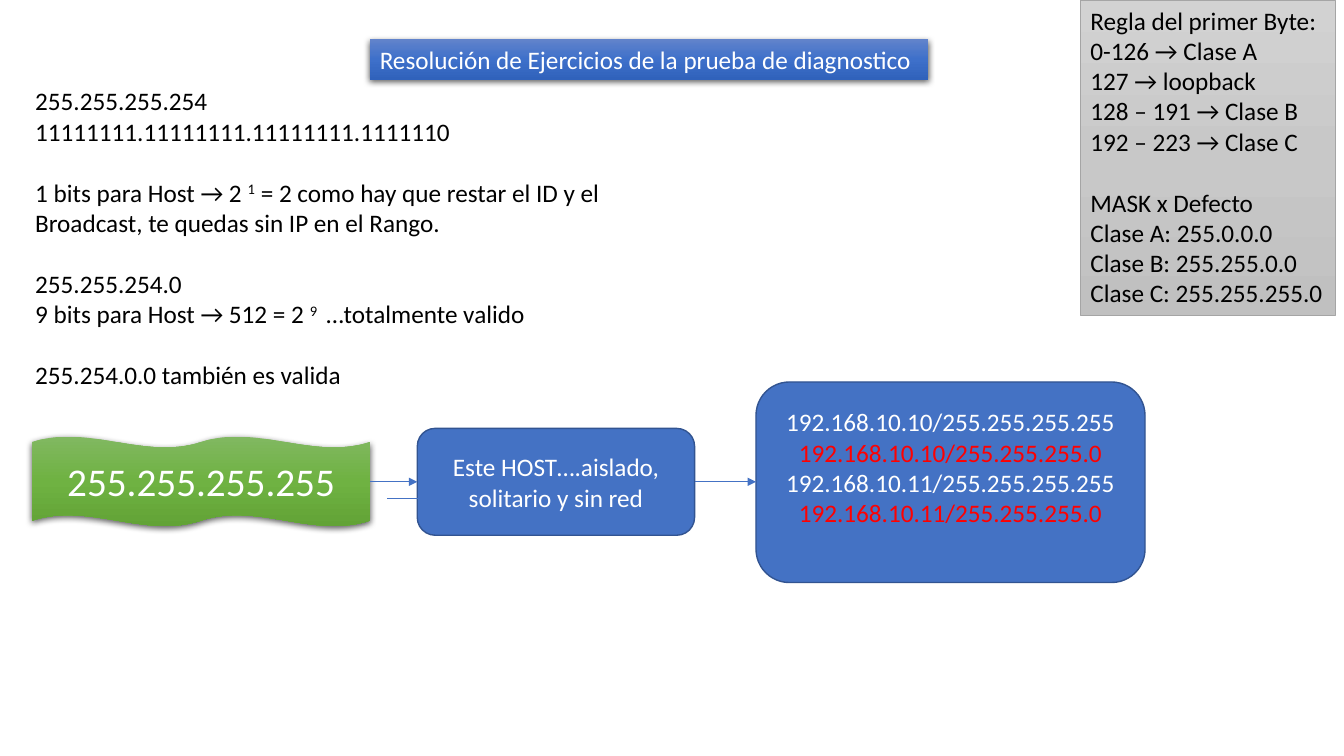
from copy import deepcopy

from lxml import etree
from pptx import Presentation
from pptx import util as u
from pptx.dml.color import RGBColor
from pptx.enum import shapes, text
from pptx.oxml import ns

WIDTH, HEIGHT = u.Inches(13.333), u.Inches(7.5)
COLUMN, ROW = WIDTH / 100, HEIGHT / 100  # grid of 100 by 100

BLACK = RGBColor(0x00, 0x00, 0x00)
WHITE = RGBColor(0xFF, 0xFF, 0xFF)
RED = RGBColor(0xFF, 0x00, 0x00)
GREY = RGBColor(0xA5, 0xA5, 0xA5)
BLUE = RGBColor(0x44, 0x72, 0xC4)
NAVY = RGBColor(0x32, 0x54, 0x91)
BLUE_FADE = [RGBColor(0x61, 0x83, 0xCB), RGBColor(0x3E, 0x70, 0xCA), RGBColor(0x30, 0x62, 0xBB)]
GREY_FADE = [RGBColor(0xD2, 0xD2, 0xD2), RGBColor(0xC8, 0xC8, 0xC8), RGBColor(0xC0, 0xC0, 0xC0)]
GREEN_FADE = [RGBColor(0x81, 0xB8, 0x61), RGBColor(0x6F, 0xB2, 0x42), RGBColor(0x62, 0xA3, 0x36)]

LINE_GAP = 22  # points, one empty line of 18-point text
ARROW_ROW = 63.73

NOTES = [
    ["255.255.255.254"],
    ["11111111.11111111.11111111.1111110"],
    ["1 bits para Host → 2 ", "1",
     " = 2 como hay que restar el ID y el Broadcast, te quedas sin IP en el Rango."],
    ["255.255.254.0"],
    ["9 bits para Host → 512 = 2 ", "9 ", " …totalmente valido"],
    ["255.254.0.0 también es valida"],
]
RULES = [
    "Regla del primer Byte:", "0-126 → Clase A", "127 → loopback",
    "128 – 191 → Clase B", "192 – 223 → Clase C",
    "MASK x Defecto", "Clase A: 255.0.0.0", "Clase B: 255.255.0.0",
    "Clase C: 255.255.255.0",
]
HOSTS = [
    "192.168.10.10/255.255.255.255", "192.168.10.10/255.255.255.0",
    "192.168.10.11/255.255.255.255", "192.168.10.11/255.255.255.0",
]


def grid(left, top, width, height):
    """Turn columns and rows into slide lengths."""
    return [round(n) for n in (left * COLUMN, top * ROW, width * COLUMN, height * ROW)]


def write(box, lines, size=18, colors=(BLACK,), align=text.PP_ALIGN.LEFT,
          anchor=text.MSO_ANCHOR.TOP, wrap=True, gaps=()):
    """Fill a box; colors repeat by line, gaps lists the lines with space before.

    A line is a string, or a list whose every second part is superscript.
    """
    frame = box.text_frame
    frame.word_wrap = wrap
    frame.vertical_anchor = anchor
    for index, line in enumerate(lines):
        para = frame.paragraphs[0] if index == 0 else frame.add_paragraph()
        para.alignment = align
        if index in gaps:
            para.space_before = u.Pt(LINE_GAP)
        for part, words in enumerate([line] if isinstance(line, str) else line):
            span = para.add_run()
            span.text = words
            span.font.name = "Calibri"
            span.font.size = u.Pt(size)
            span.font.color.rgb = colors[index % len(colors)]
            if part % 2:
                span._r.get_or_add_rPr().set("baseline", "30000")


def fade(shape, colors):
    """Fill a shape with evenly spaced colours from top to bottom."""
    shape.fill.gradient()
    shape.fill.gradient_angle = 270
    stop_list = shape._element.spPr.find(".//" + ns.qn("a:gsLst"))
    stop_list.insert(1, deepcopy(stop_list[0]))
    for index, (stop, color) in enumerate(zip(shape.fill.gradient_stops, colors)):
        stop.position = index / (len(colors) - 1)
        stop.color.rgb = color


def drop_shadow(shape):
    effects = shape._element.spPr.find(ns.qn("a:effectLst"))
    shadow = etree.SubElement(effects, ns.qn("a:outerShdw"), blurRad=str(u.Pt(4.5)),
                              dist=str(u.Pt(1.5)), dir="5400000", algn="ctr", rotWithShape="0")
    color = etree.SubElement(shadow, ns.qn("a:srgbClr"), val="000000")
    etree.SubElement(color, ns.qn("a:alpha"), val="63000")


def add_block(page, kind, place, colors, line=None, line_width=1, shadow=False):
    shape = page.shapes.add_shape(kind, *grid(*place))
    shape.shadow.inherit = False
    if len(colors) > 1:
        fade(shape, colors)
    else:
        shape.fill.solid()
        shape.fill.fore_color.rgb = colors[0]
    if line is None:
        shape.line.fill.background()
    else:
        shape.line.color.rgb = line
        shape.line.width = u.Pt(line_width)
    if shadow:
        drop_shadow(shape)
    return shape


def add_arrow(page, start, end, row):
    left, top, right, bottom = grid(start, row, end, row)
    arrow = page.shapes.add_connector(shapes.MSO_CONNECTOR.STRAIGHT, left, top, right, bottom)
    arrow.line.color.rgb = BLUE
    arrow.line.width = u.Pt(0.5)
    etree.SubElement(arrow.line._get_or_add_ln(), ns.qn("a:tailEnd"), type="triangle")
    etree.SubElement(arrow._element.spPr, ns.qn("a:effectLst"))


def main():
    deck = Presentation()
    deck.slide_width, deck.slide_height = WIDTH, HEIGHT
    page = deck.slides.add_slide(deck.slide_layouts[6])
    kinds = shapes.MSO_SHAPE
    centred = {"align": text.PP_ALIGN.CENTER, "anchor": text.MSO_ANCHOR.MIDDLE}

    notes = page.shapes.add_textbox(*grid(1.88, 10.67, 48.15, 41.73))
    write(notes, NOTES, gaps=(2, 3, 5))

    title = add_block(page, kinds.RECTANGLE, (27.52, 5.2, 41.55, 5.33), BLUE_FADE, shadow=True)
    write(title, ["Resolución de Ejercicios de la prueba de diagnostico"],
          colors=[WHITE], wrap=False)

    rules = add_block(page, kinds.RECTANGLE, (80.4, 0, 18.98, 41.73), GREY_FADE,
                      line=GREY, line_width=0.5)
    write(rules, RULES, wrap=False, gaps=(5,))

    mask = add_block(page, kinds.DOUBLE_WAVE, (2.4, 57.73, 25.12, 11.87), GREEN_FADE, shadow=True)
    write(mask, ["255.255.255.255"], size=28, colors=[WHITE], **centred)

    lone_host = add_block(page, kinds.ROUNDED_RECTANGLE, (31.05, 56.67, 20.63, 14.13),
                          [BLUE], line=NAVY)
    write(lone_host, ["Este HOST….aislado, solitario y sin red"], colors=[WHITE], **centred)

    hosts = add_block(page, kinds.ROUNDED_RECTANGLE, (56.25, 50.53, 28.95, 26.53),
                      [BLUE], line=NAVY)
    write(hosts, HOSTS, colors=[WHITE, RED], **centred)
    hosts.text_frame.margin_bottom = u.Inches(0.35)

    for start, end, row in [(27.52, 31.05, ARROW_ROW), (51.7, 56.25, ARROW_ROW),
                            (28.8, 32.33, 65.87)]:
        add_arrow(page, start, end, row)

    deck.save("out.pptx")


if __name__ == "__main__":
    main()
